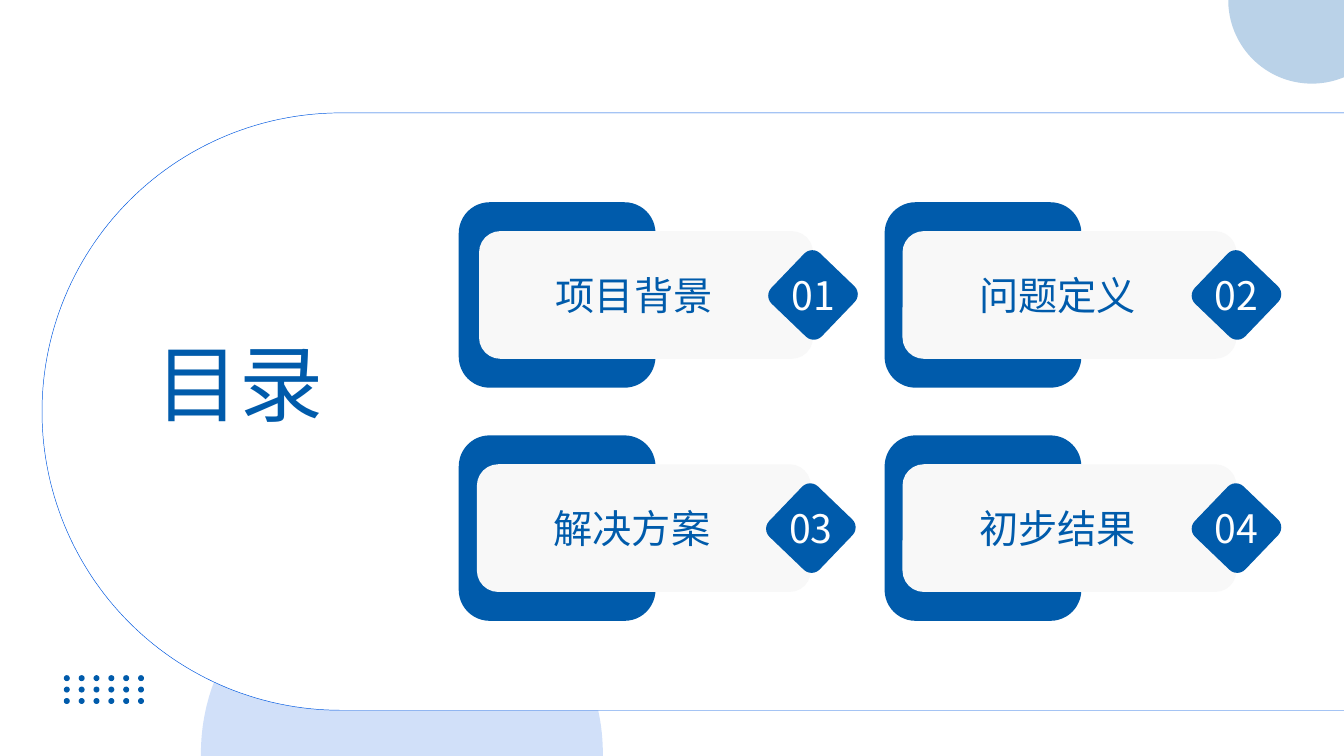
from dataclasses import dataclass
from itertools import product
from math import acos, cos, degrees, radians, sin

from lxml.etree import SubElement
from pptx import Presentation
from pptx.dml.color import RGBColor
from pptx.enum.shapes import MSO_SHAPE
from pptx.enum.text import MSO_ANCHOR, MSO_AUTO_SIZE, PP_ALIGN
from pptx.oxml.ns import qn
from pptx.util import Pt

TITLE = "目录"
CARDS = [
    ("01", "项目背景", 513.3),
    ("02", "问题定义", 967),
    ("03", "解决方案", 511),
    ("04", "初步结果", 967),
]
PAGE_WIDTH, PAGE_HEIGHT = 1440, 810


@dataclass(frozen=True)
class Theme:
    font: str = "Noto Sans CJK SC"
    title_size: float = 90
    card_size: float = 42
    leading: float = 1.2
    blue: str = "005BAB"
    bright: str = "0058E0"
    pale: str = "F8F8F8"
    white: str = "FFFFFF"


THEME = Theme()

BACK_LEFT, BACK_TOP, BACK_WIDTH, BACK_HEIGHT = 491.5, 216.7, 210.8, 198.7
COLUMN_PITCH, ROW_PITCH = 456.3, 249.8
FRONT_WIDTH, FRONT_HEIGHT = 357.8, 136.8
BADGE_SIDE, BADGE_TURN = 74.9, 43.8
LABEL_INSET, LABEL_WIDTH, NUMBER_WIDTH, TEXT_HEIGHT = 38.9, 254.2, 82.8, 50.4
CARD_ROUNDING, BADGE_ROUNDING = 0.167, 0.16

DOT_LEFT, DOT_TOP, DOT_SIZE = 68.4, 723.4, 6.4
DOT_COLUMNS, DOT_ROWS, DOT_PITCH_X, DOT_PITCH_Y = 6, 3, 15.9, 12.25


def paint(shape, color, opacity=None):
    shape.shadow.inherit = False
    shape.fill.solid()
    shape.fill.fore_color.rgb = RGBColor.from_string(color)
    shape.line.fill.background()
    if opacity is not None:
        tint = shape.fill._xPr.find(f".//{qn('a:srgbClr')}")
        SubElement(tint, qn("a:alpha"), val=str(opacity * 1000))


def add_block(page, kind, left, top, width, height, color, rounding=None):
    block = page.shapes.add_shape(kind, Pt(left), Pt(top), Pt(width), Pt(height))
    if rounding is not None:
        block.adjustments[0] = rounding
    paint(block, color)
    return block


def arc(center_x, center_y, radius, start, end, steps=120):
    angles = [radians(start + (end - start) * i / steps) for i in range(steps + 1)]
    return [(center_x + radius * cos(a), center_y + radius * sin(a)) for a in angles]


def add_outline(page, points, color, opacity=None, close=True):
    corners = [(Pt(x), Pt(y)) for x, y in points]
    builder = page.shapes.build_freeform(*corners[0])
    builder.add_line_segments(corners[1:], close=close)
    outline = builder.convert_to_shape()
    paint(outline, color, opacity)
    return outline


def write(box, text, size, color):
    frame = box.text_frame
    frame.word_wrap = True
    frame.auto_size = MSO_AUTO_SIZE.NONE
    frame.vertical_anchor = MSO_ANCHOR.TOP
    frame.margin_left = frame.margin_top = frame.margin_right = frame.margin_bottom = 0
    frame.text = text
    para = frame.paragraphs[0]
    para.alignment = PP_ALIGN.CENTER
    para.line_spacing = Pt(size * THEME.leading)
    font = para.font
    font.size = Pt(size)
    font.color.rgb = RGBColor.from_string(color)
    font.name = THEME.font
    SubElement(font._rPr, qn("a:ea"), typeface=THEME.font)


def add_label(page, text, center_x, center_y, width, color):
    box = page.shapes.add_textbox(
        Pt(center_x - width / 2), Pt(center_y - TEXT_HEIGHT / 2), Pt(width), Pt(TEXT_HEIGHT)
    )
    write(box, text, THEME.card_size, color)


def add_background(page):
    lower = arc(430.6, 807.1, 215.3, 180, 360)
    add_outline(page, [(215.3, PAGE_HEIGHT), *lower, (645.9, PAGE_HEIGHT)], THEME.bright, 18)

    curve = arc(365, 441, 320, 270, 90)
    panel = add_outline(
        page, [(PAGE_WIDTH, 121), *curve, (PAGE_WIDTH, 761)], THEME.white, close=False
    )
    panel.line.color.rgb = RGBColor.from_string(THEME.bright)
    panel.line.width = Pt(0.5)

    center_x, radius = 1405.6, 89.6
    edge_angle = degrees(acos((PAGE_WIDTH - center_x) / radius))
    corner = arc(center_x, 0, radius, 180, edge_angle)
    add_outline(page, [*corner, (PAGE_WIDTH, 0)], THEME.blue, 27)


def add_dots(page):
    for row, column in product(range(DOT_ROWS), range(DOT_COLUMNS)):
        left, top = DOT_LEFT + column * DOT_PITCH_X, DOT_TOP + row * DOT_PITCH_Y
        add_block(page, MSO_SHAPE.OVAL, left, top, DOT_SIZE, DOT_SIZE, THEME.blue)


def add_card(page, index, number, label, front_left):
    row, column = divmod(index, 2)
    back_left = BACK_LEFT + column * COLUMN_PITCH
    back_top = BACK_TOP + row * ROW_PITCH
    middle = back_top + BACK_HEIGHT / 2
    front_right = front_left + FRONT_WIDTH
    rounded = MSO_SHAPE.ROUNDED_RECTANGLE

    add_block(page, rounded, back_left, back_top, BACK_WIDTH, BACK_HEIGHT,
              THEME.blue, CARD_ROUNDING)
    add_block(page, rounded, front_left, middle - FRONT_HEIGHT / 2, FRONT_WIDTH, FRONT_HEIGHT,
              THEME.pale, CARD_ROUNDING)
    badge = add_block(page, rounded, front_right - BADGE_SIDE / 2, middle - BADGE_SIDE / 2,
                      BADGE_SIDE, BADGE_SIDE, THEME.blue, BADGE_ROUNDING)
    badge.rotation = BADGE_TURN
    add_label(page, number, front_right, middle, NUMBER_WIDTH, THEME.white)
    label_center = front_left + LABEL_INSET + LABEL_WIDTH / 2
    add_label(page, label, label_center, middle, LABEL_WIDTH, THEME.blue)


def add_title(page):
    title = page.shapes.title
    title.left, title.top, title.width, title.height = Pt(109.4), Pt(355.7), Pt(294.5), Pt(108.7)
    write(title, TITLE, THEME.title_size, THEME.blue)
    page.shapes._spTree.append(title._element)


def main():
    deck = Presentation()
    deck.slide_width, deck.slide_height = Pt(PAGE_WIDTH), Pt(PAGE_HEIGHT)
    page = deck.slides.add_slide(deck.slide_layouts[5])
    add_background(page)
    for index, card in enumerate(CARDS):
        add_card(page, index, *card)
    add_dots(page)
    add_title(page)
    deck.save("out.pptx")


if __name__ == "__main__":
    main()
